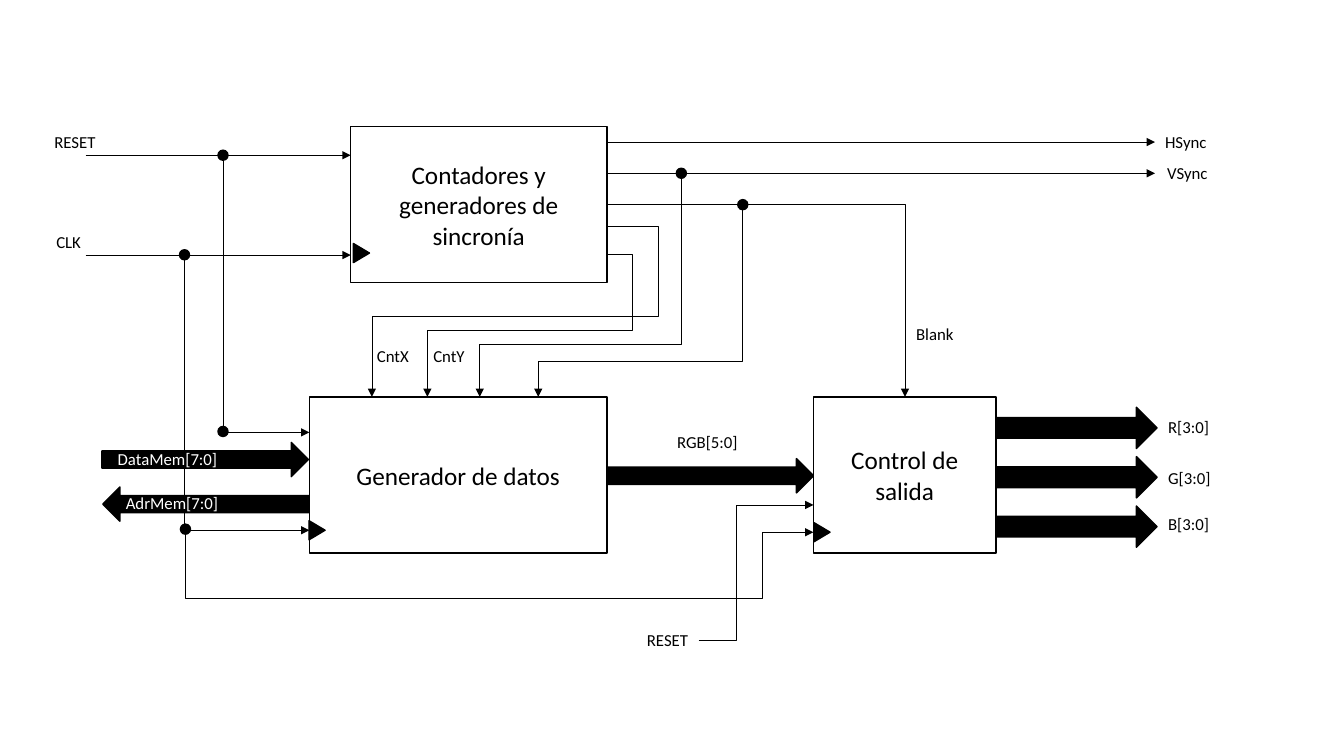
import pptx
import pptx.dml.color
import pptx.enum.shapes
import pptx.enum.text
import pptx.oxml.ns
import pptx.util
import lxml.etree

Pt = pptx.util.Pt
SHAPE = pptx.enum.shapes.MSO_SHAPE
COLORS = {"ink": "000000", "paper": "FFFFFF"}


def color(name):
    return pptx.dml.color.RGBColor.from_string(COLORS[name])


def write(tf, text, size=12, ink="ink", align="LEFT", anchor="TOP", wrap=False):
    tf.word_wrap = wrap
    tf.vertical_anchor = getattr(pptx.enum.text.MSO_ANCHOR, anchor)
    if not wrap:
        tf.auto_size = pptx.enum.text.MSO_AUTO_SIZE.SHAPE_TO_FIT_TEXT
    p = tf.paragraphs[0]
    p.alignment = getattr(pptx.enum.text.PP_ALIGN, align)
    r = p.add_run()
    r.text = text
    r.font.name = "Calibri"
    r.font.size = Pt(size)
    r.font.color.rgb = color(ink)


class Diagram:
    def __init__(self, slide, border=1, wire=0.5):
        self.s = slide
        self.border = border
        self.wire_width = wire

    def shape(self, kind, x, y, w, h, fill="ink", rotation=0):
        sp = self.s.shapes.add_shape(kind, Pt(x), Pt(y), Pt(w), Pt(h))
        sp.shadow.inherit = False
        sp.rotation = rotation
        sp.fill.solid()
        sp.fill.fore_color.rgb = color(fill)
        sp.line.color.rgb = color("ink")
        sp.line.width = Pt(self.border)
        return sp

    def block(self, text, x, y, w, h=111.5):
        sp = self.shape(SHAPE.RECTANGLE, x, y, w, h, fill="paper")
        write(sp.text_frame, text, size=18, align="CENTER", anchor="MIDDLE", wrap=True)

    def bus(self, x, y, w=147.6, h=24.5, rotation=0):
        self.shape(SHAPE.RIGHT_ARROW, x, y, w, h, rotation=rotation)

    def clock(self, x, y):
        self.shape(SHAPE.ISOSCELES_TRIANGLE, x, y, 13.7, 11.5, rotation=90)

    def dot(self, cx, cy, d=7.2):
        self.shape(SHAPE.OVAL, cx - d / 2, cy - d / 2, d, d)

    def label(self, text, x, y, w, ink="ink"):
        sp = self.s.shapes.add_textbox(Pt(x), Pt(y), Pt(w), Pt(21.6))
        write(sp.text_frame, text, ink=ink)

    def finish_wire(self, sp):
        sp.line.color.rgb = color("ink")
        sp.line.width = Pt(self.wire_width)
        ln = sp.line._get_or_add_ln()
        lxml.etree.SubElement(ln, pptx.oxml.ns.qn("a:tailEnd"), type="triangle")

    def line(self, x1, x2, y):
        sp = self.s.shapes.add_connector(
            pptx.enum.shapes.MSO_CONNECTOR.STRAIGHT, Pt(x1), Pt(y), Pt(x2), Pt(y))
        self.finish_wire(sp)
        lxml.etree.SubElement(sp._element.spPr, pptx.oxml.ns.qn("a:effectLst"))

    def route(self, start, *corners):
        fb = self.s.shapes.build_freeform(Pt(start[0]), Pt(start[1]))
        fb.add_line_segments([(Pt(x), Pt(y)) for x, y in corners], close=False)
        sp = fb.convert_to_shape()
        sp.shadow.inherit = False
        sp.fill.background()
        self.finish_wire(sp)


def main():
    prs = pptx.Presentation()
    prs.slide_width, prs.slide_height = Pt(960), Pt(540)
    d = Diagram(prs.slides.add_slide(prs.slide_layouts[6]))

    for i in range(3):
        d.bus(712, 290.9 + 35.25 * i, w=114.5, h=29.5)
    d.bus(433.5, 327.6)
    d.bus(72.7, 316)
    d.bus(73.4, 347.8, rotation=180)

    counter_right, block_top = 433.5, 283.5
    data_left, output_left = 221, 581
    d.block("Contadores y generadores de sincronía", 250.5, 90.5, 183)
    d.block("Control de salida", output_left, block_top, 130.5)
    d.block("Generador de datos", data_left, block_top, 212.5)

    for x1, x2, y in [(counter_right, 825, 101.5), (counter_right, 825, 123.8),
                      (61.2, 250.5, 110.9), (61.2, 250.5, 182.2)]:
        d.line(x1, x2, y)

    d.route((counter_right, 146.2), (646.5, 146.2), (646.5, block_top))
    for y, x, turn, end in [(162, 470.2, 226.1, 265.7), (181.4, 451.4, 236.2, 305.3)]:
        d.route((counter_right, y), (x, y), (x, turn), (end, turn), (end, block_top))
    for x, y, turn, end in [(486.7, 127.4, 246.2, 342.7), (530.6, 149.8, 257.8, 384.5)]:
        d.route((x, y), (x, turn), (end, turn), (end, block_top))
    for x, y, end in [(131.8, 185.8, 378.7), (159.8, 114.5, 308.9)]:
        d.route((x, y), (x, end), (data_left, end))
    d.route((132.5, 381.6), (132.5, 427.7), (544.3, 427.7),
            (544.3, 380.2), (output_left, 380.2))
    d.route((499, 457.2), (526.3, 457.2), (526.3, 360.7), (output_left, 360.7))

    for x, y in [(251.3, 175), (219.6, 373), (580.3, 374.4)]:
        d.clock(x, y)
    for cx, cy in [(486.7, 123.8), (530.6, 146.2), (131.8, 182),
                   (132.5, 378), (159.3, 110.9), (159.3, 308.2)]:
        d.dot(cx, cy)

    for text, x, y, w in [
        ("R[3:0]", 827.3, 294.5, 44), ("G[3:0]", 827.3, 330.5, 45.4),
        ("B[3:0]", 827.3, 363.6, 44), ("HSync", 825.1, 90.7, 44.6),
        ("VSync", 826.6, 113, 44), ("Blank", 647.3, 227.5, 41.8),
        ("RGB[5:0]", 476.6, 304.6, 58.3), ("CntX", 262.1, 243.4, 37.4),
        ("CntY", 302.4, 243.4, 37.4), ("CLK", 33.1, 162, 32.4),
        ("RESET", 31.7, 90.7, 44.6), ("RESET", 455, 446.4, 44.6),
    ]:
        d.label(text, x, y, w)
    d.label("DataMem[7:0]", 77, 316.8, 86.4, ink="paper")
    d.label("AdrMem[7:0]", 82.8, 348.5, 81.4, ink="paper")

    prs.save("out.pptx")


if __name__ == "__main__":
    main()
